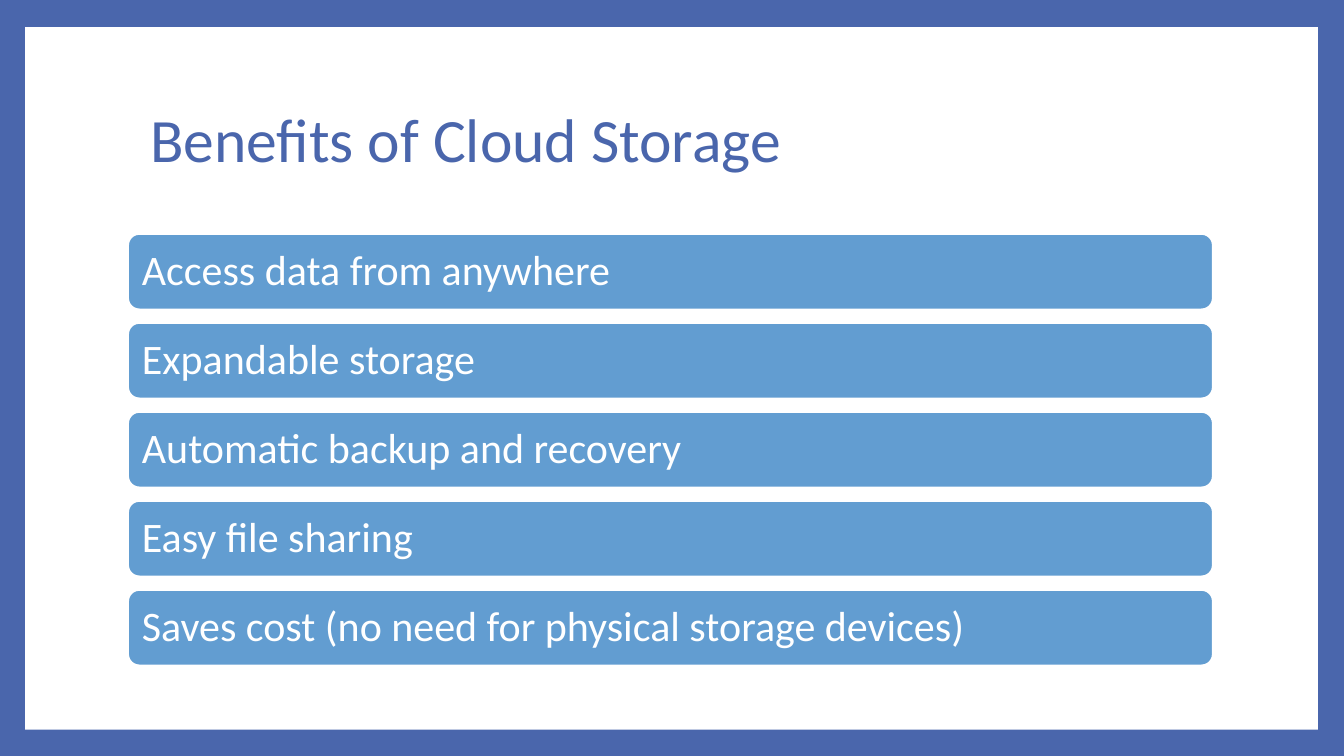
from dataclasses import dataclass

from pptx import Presentation
from pptx.dml.color import RGBColor as Rgb
from pptx.enum.shapes import MSO_SHAPE as Kind
from pptx.enum.text import MSO_ANCHOR as Anchor, PP_ALIGN as Align
from pptx.shapes.autoshape import Shape
from pptx.slide import Slide
from pptx.util import Inches, Pt

HUES = {"frame": "4A66AC", "page": "FFFFFF", "bar": "629DD1"}
FONT = "Calibri"
LEFT, WIDTH = 1.25, 10.8
TOP, STEP, HEIGHT = 2.3, 0.883, 0.79


@dataclass
class Bar:
    row: int
    text: str


BARS = [Bar(row, text) for row, text in enumerate([
    "Access data from anywhere",
    "Expandable storage",
    "Automatic backup and recovery",
    "Easy file sharing",
    "Saves cost (no need for physical storage devices)",
])]


def hue(name: str) -> Rgb:
    return Rgb.from_string(HUES[name])


def write(shape: Shape, text: str, size: float, color: str) -> None:
    frame = shape.text_frame
    frame.word_wrap = True
    frame.vertical_anchor = Anchor.MIDDLE
    para = frame.paragraphs[0]
    para.alignment = Align.LEFT
    para.line_spacing = 0.9
    run = para.add_run()
    run.text = text
    run.font.name = FONT
    run.font.size = Pt(size)
    run.font.color.rgb = hue(color)


def block(slide: Slide, kind: Kind, x: float, y: float,
          w: float, h: float, fill: str) -> Shape:
    shape = slide.shapes.add_shape(
        kind, Inches(x), Inches(y), Inches(w), Inches(h))
    shape.shadow.inherit = False
    shape.fill.solid()
    shape.fill.fore_color.rgb = hue(fill)
    shape.line.fill.background()
    return shape


def draw(slide: Slide, bar: Bar) -> None:
    shape = block(slide, Kind.ROUNDED_RECTANGLE, LEFT, TOP + bar.row * STEP,
                  WIDTH, HEIGHT, "bar")
    shape.line.color.rgb = hue("page")
    shape.line.width = Pt(4.25)
    frame = shape.text_frame
    frame.margin_left = frame.margin_right = Inches(0.12)
    frame.margin_top = frame.margin_bottom = Inches(0.12)
    write(shape, bar.text, 30, "page")


def main() -> None:
    deck = Presentation()
    deck.slide_width, deck.slide_height = Inches(13.33), Inches(7.5)
    slide = deck.slides.add_slide(deck.slide_layouts[6])

    # Coloured frame around a white page
    slide.background.fill.solid()
    slide.background.fill.fore_color.rgb = hue("frame")
    block(slide, Kind.RECTANGLE, 0.25, 0.27, 12.82, 6.97, "page")

    # Title
    title = slide.shapes.add_textbox(
        Inches(LEFT), Inches(0.67), Inches(WIDTH), Inches(1.48))
    title.text_frame.margin_left = Inches(0.24)
    write(title, "Benefits of Cloud Storage", 44, "frame")

    # Benefit bars
    for bar in BARS:
        draw(slide, bar)

    deck.save("out.pptx")


if __name__ == "__main__":
    main()
